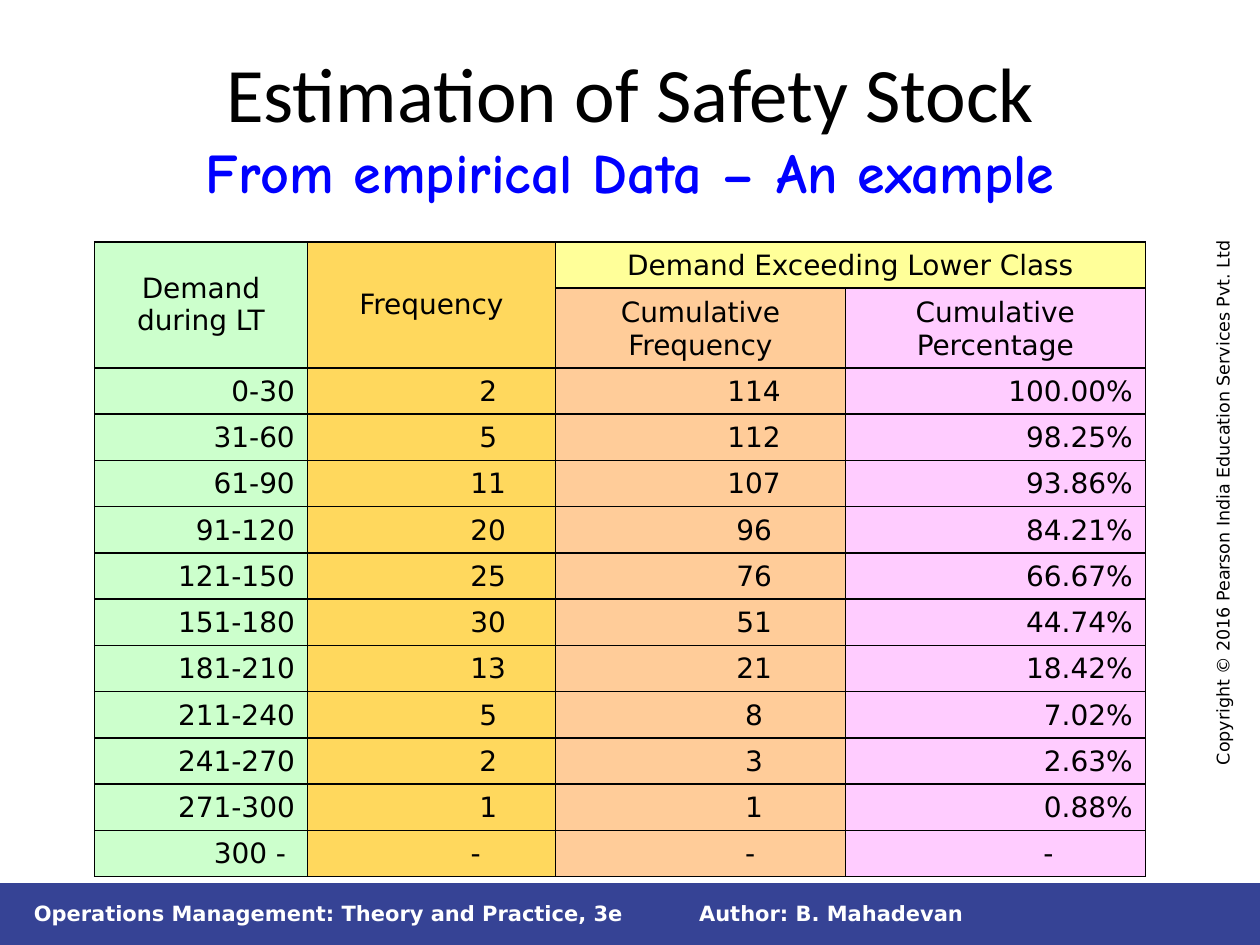
from lxml import etree
from pptx import Presentation
from pptx.dml.color import RGBColor
from pptx.enum.shapes import MSO_SHAPE
from pptx.enum.text import MSO_ANCHOR, PP_ALIGN
from pptx.oxml.ns import qn
from pptx.util import Inches, Pt

RECT = MSO_SHAPE.RECTANGLE
LEFT, CENTER, RIGHT = PP_ALIGN.LEFT, PP_ALIGN.CENTER, PP_ALIGN.RIGHT
TOP, MIDDLE, BOTTOM = MSO_ANCHOR.TOP, MSO_ANCHOR.MIDDLE, MSO_ANCHOR.BOTTOM

W, H = Inches(10), Inches(7.5)
SANS = "DejaVu Sans"
COLORS = {
    "black": "000000", "white": "FFFFFF", "blue": "0000FF", "band": "364395",
    "demand": "CCFFCC", "frequency": "FFD85D", "exceeding": "FFFF99",
    "cum_freq": "FFCC99", "cum_pct": "FFCCFF",
}

COLUMNS = ["demand", "frequency", "cum_freq", "cum_pct"]
COL_SHARES = [16.9, 19.7, 23, 23.8]
ROW_SHARE, SUBHEAD_SHARE = 4.89, 8.4
ALIGNS = [RIGHT, CENTER, CENTER, RIGHT]
# Left and right cell insets in inches, one pair per column
NUMBER_INSETS = [(0.1, 0.1), (1, 0.1), (0.95, 0.1), (0.1, 0.1)]
DASH_INSETS = [(0.1, 0.17), (0.8, 0.1), (0.89, 0.1), (0.1, 0.73)]

# row, column, last row, last column, text, colour, anchor
HEADERS = [
    (0, 0, 1, 0, "Demand during LT", "demand", MIDDLE),
    (0, 1, 1, 1, "Frequency", "frequency", MIDDLE),
    (0, 2, 0, 3, "Demand Exceeding Lower Class", "exceeding", BOTTOM),
    (1, 2, 1, 2, "Cumulative Frequency", "cum_freq", BOTTOM),
    (1, 3, 1, 3, "Cumulative Percentage", "cum_pct", BOTTOM),
]
DATA = [
    ("0-30", "2", "114", "100.00%"),
    ("31-60", "5", "112", "98.25%"),
    ("61-90", "11", "107", "93.86%"),
    ("91-120", "20", "96", "84.21%"),
    ("121-150", "25", "76", "66.67%"),
    ("151-180", "30", "51", "44.74%"),
    ("181-210", "13", "21", "18.42%"),
    ("211-240", "5", "8", "7.02%"),
    ("241-270", "2", "3", "2.63%"),
    ("271-300", "1", "1", "0.88%"),
    ("300 -", "-", "-", "-"),
]


def rgb(name):
    return RGBColor.from_string(COLORS[name])


def share(x, y, w, h):
    """Turn percentages of the slide's width and height into lengths."""
    return int(W * x / 100), int(H * y / 100), int(W * w / 100), int(H * h / 100)


def add_run(p, text, size, color="black", font=SANS, bold=False):
    r = p.add_run()
    r.text = text
    r.font.name, r.font.size, r.font.bold = font, Pt(size), bold
    r.font.color.rgb = rgb(color)


def add_text(s, place, anchor=MIDDLE, align=LEFT):
    """Add an empty text box; return its shape and first paragraph."""
    sp = s.shapes.add_textbox(*share(*place))
    tf = sp.text_frame
    tf.word_wrap, tf.vertical_anchor = True, anchor
    p = tf.paragraphs[0]
    p.alignment = align
    return sp, p


def add_footer(s):
    band = s.shapes.add_shape(RECT, *share(0, 93.47, 100, 6.53))
    band.shadow.inherit = False
    band.fill.solid()
    band.fill.fore_color.rgb = rgb("band")
    band.line.fill.background()
    for x, w, text in [
        (54.5, 45.5, "Author: B. Mahadevan"),
        (1.7, 50, "Operations Management: Theory and Practice, 3e"),
    ]:
        _, p = add_text(s, (x, 94.67, w, 4))
        add_run(p, text, 12, "white", bold=True)


def add_copyright(s):
    sp, p = add_text(s, (74.5, 50.4, 45.1, 3.6), TOP)
    sp.rotation = 270
    add_run(p, "Copyright © 2016 Pearson India Education Services Pvt. Ltd", 10)


def add_title(s):
    _, p = add_text(s, (6.3, 4.4, 87.5, 17.73), MIDDLE, CENTER)
    add_run(p, "Estimation of Safety Stock", 44, font="Calibri")
    p.add_line_break()
    add_run(p, "From empirical Data – An example", 32, "blue", "Comic Neue", True)


def style_cell(cell, color):
    """Draw a thin black border on every side, then fill the cell."""
    tc_pr = cell._tc.get_or_add_tcPr()
    for side in ("a:lnL", "a:lnR", "a:lnT", "a:lnB"):
        ln = etree.SubElement(tc_pr, qn(side), w=str(Pt(1)))
        fill = etree.SubElement(ln, qn("a:solidFill"))
        etree.SubElement(fill, qn("a:srgbClr"), val=COLORS["black"])
    cell.fill.solid()
    cell.fill.fore_color.rgb = rgb(color)


def write_cell(cell, text, align, anchor, insets=(0.1, 0.1)):
    cell.margin_left, cell.margin_right = map(Inches, insets)
    cell.vertical_anchor = anchor
    p = cell.text_frame.paragraphs[0]
    p.alignment = align
    add_run(p, text, 16)


def add_headers(table):
    for top, left, bottom, right, text, color, anchor in HEADERS:
        for row in range(top, bottom + 1):
            for col in range(left, right + 1):
                style_cell(table.cell(row, col), color)
        cell = table.cell(top, left)
        if (top, left) != (bottom, right):
            cell.merge(table.cell(bottom, right))
        write_cell(cell, text, CENTER, anchor)


def add_demand_table(s):
    row_shares = [ROW_SHARE, SUBHEAD_SHARE] + [ROW_SHARE] * len(DATA)
    place = share(7.5, 25.6, sum(COL_SHARES), sum(row_shares))
    table = s.shapes.add_table(len(row_shares), len(COLUMNS), *place).table
    for col, width in zip(table.columns, COL_SHARES):
        col.width = int(W * width / 100)
    for row, height in zip(table.rows, row_shares):
        row.height = int(H * height / 100)
    add_headers(table)
    for i, values in enumerate(DATA, start=2):
        insets = DASH_INSETS if values[-1] == "-" else NUMBER_INSETS
        for j, text in enumerate(values):
            cell = table.cell(i, j)
            style_cell(cell, COLUMNS[j])
            write_cell(cell, text, ALIGNS[j], BOTTOM, insets[j])


def main():
    prs = Presentation()
    prs.slide_width, prs.slide_height = W, H
    s = prs.slides.add_slide(prs.slide_layouts[6])
    add_footer(s)
    add_copyright(s)
    add_title(s)
    add_demand_table(s)
    prs.save("out.pptx")


if __name__ == "__main__":
    main()
